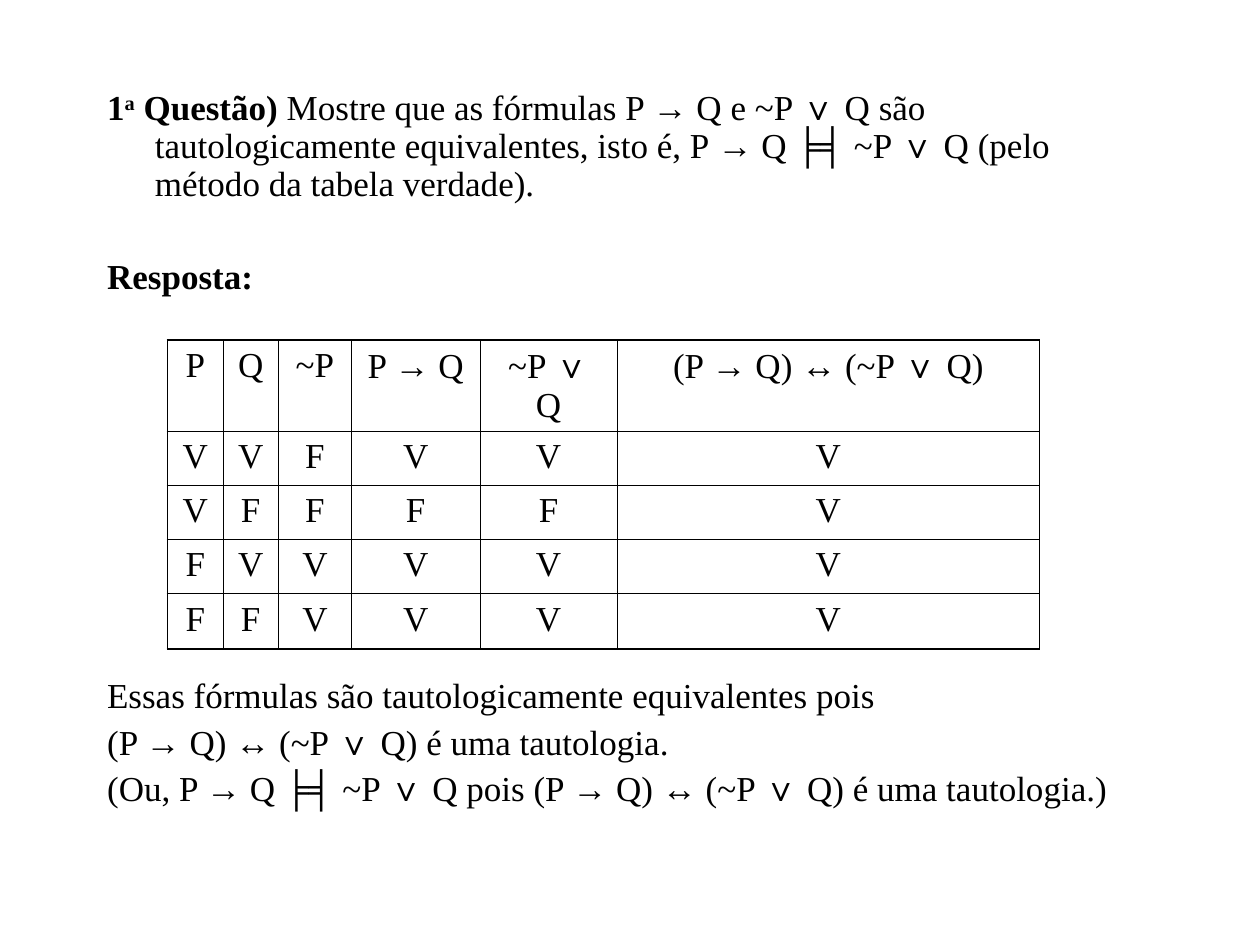
from itertools import groupby

from lxml.etree import SubElement as Sub
from pptx import Presentation
from pptx.dml.color import RGBColor
from pptx.enum.text import MSO_ANCHOR as Anchor, MSO_AUTO_SIZE as AutoSize, PP_ALIGN as Align
from pptx.oxml.ns import qn
from pptx.util import Inches, Pt

COLORS = {"ink": "000000", "paper": "FFFFFF"}
SYMBOLS = "→↔∨"
THIN, THICK = 0.45, 1.08
GAP = 5
BLANK_LINE = 26.6  # one line of text with the gap before it

EQUIVALENT = "P → Q ╞╡ ~P ∨ Q"
TAUTOLOGY = "(P → Q) ↔ (~P ∨ Q)"
COLUMNS = [0.44, 0.44, 0.58, 1.02, 1.09, 3.35]
ROWS = [0.43, 0.43, 0.43, 0.43, 0.44]
TRUTH_TABLE = [
    ["P", "Q", "~P", "P → Q", "~P ∨ Q", TAUTOLOGY],
    *map(list, ["VVFVVV", "VFFFFV", "FVVVVV", "FFVVVV"]),
]


def add_text(para, text, size=20, bold=False, baseline=0, color="ink"):
    """Add text as runs, with logic symbols in their own font."""
    for is_symbol, letters in groupby(text, key=lambda letter: letter in SYMBOLS):
        span = para.add_run()
        span.text = "".join(letters)
        span.font.size = Pt(size)
        span.font.bold = bold
        span.font.color.rgb = RGBColor.from_string(COLORS[color])
        span.font.name = "Arial" if is_symbol else "Times New Roman"
        props = span.font._element
        for tag in ("a:ea", "a:cs"):
            Sub(props, qn(tag), typeface=span.font.name)
        if baseline:
            props.set("baseline", str(baseline * 1000))


class QuestionSlide:
    def __init__(self, deck):
        self.page = deck.slides.add_slide(deck.slide_layouts[1])
        self.page.background.fill.solid()
        self.page.background.fill.fore_color.rgb = RGBColor.from_string(COLORS["paper"])
        title = self.page.shapes.title._element
        title.getparent().remove(title)

    def body(self, left, top, width, height, paragraphs):
        box = self.page.placeholders[1]
        box.left, box.top = Inches(left), Inches(top)
        box.width, box.height = Inches(width), Inches(height)
        frame = box.text_frame
        frame.word_wrap = True
        frame.auto_size = AutoSize.NONE
        frame.vertical_anchor = Anchor.TOP
        for index, (align, blanks, parts) in enumerate(paragraphs):
            para = frame.add_paragraph() if index else frame.paragraphs[0]
            para.alignment = align
            para.line_spacing = 0.9
            para.space_before = Pt(GAP + blanks * BLANK_LINE)
            props = para._p.get_or_add_pPr()
            props.set("marL", str(Inches(0.38)))
            props.set("indent", str(-Inches(0.38)))
            Sub(props, qn("a:buNone"))
            for text, style in parts:
                add_text(para, text, **style)

    def border(self, cell, side, width):
        line = Sub(cell._tc.get_or_add_tcPr(), qn(f"a:ln{side}"), w=str(Pt(width)))
        Sub(Sub(line, qn("a:solidFill")), qn("a:srgbClr"), val=COLORS["ink"])

    def table(self, left, top, columns, rows, values):
        table = self.page.shapes.add_table(
            len(rows), len(columns), Inches(left), Inches(top),
            Inches(sum(columns)), Inches(sum(rows))).table
        table.first_row = table.horz_banding = False
        for column, width in zip(table.columns, columns):
            column.width = Inches(width)
        last_row, last_column = len(rows) - 1, len(columns) - 1
        for r, height in enumerate(rows):
            table.rows[r].height = Inches(height)
            for c, text in enumerate(values[r]):
                cell = table.cell(r, c)
                para = cell.text_frame.paragraphs[0]
                para.alignment = Align.CENTER
                para.space_before = Pt(GAP)
                add_text(para, text)
                # Thick outside, thin inside
                outer = {"L": c == 0, "R": c == last_column, "T": r == 0, "B": r == last_row}
                for side, is_outer in outer.items():
                    self.border(cell, side, THICK if is_outer else THIN)
                cell.fill.background()


def main():
    deck = Presentation()
    deck.slide_width, deck.slide_height = Inches(10), Inches(7.5)
    slide = QuestionSlide(deck)

    # Question, answer heading and conclusion: alignment, blank lines before, parts
    slide.body(0.75, 0.67, 8.5, 6, [
        (Align.LEFT, 0, [
            ("1", {"bold": True}),
            ("a", {"bold": True, "baseline": 30}),
            (" Questão)", {"bold": True}),
            (" Mostre que as fórmulas P → Q e ~P ∨ Q são tautologicamente equivalentes, "
             f"isto é, {EQUIVALENT} (pelo método da tabela verdade).", {}),
        ]),
        (Align.LEFT, 1, [("Resposta:", {"bold": True})]),
        (Align.JUSTIFY, 8, [("Essas fórmulas são tautologicamente equivalentes pois", {})]),
        (Align.JUSTIFY, 0, [(f"{TAUTOLOGY} é uma tautologia.", {})]),
        (Align.JUSTIFY, 0, [(f"(Ou, {EQUIVALENT} pois {TAUTOLOGY} é uma tautologia.)", {})]),
    ])

    # Truth table
    slide.table(1.33, 2.7, COLUMNS, ROWS, TRUTH_TABLE)
    deck.save("out.pptx")


if __name__ == "__main__":
    main()
